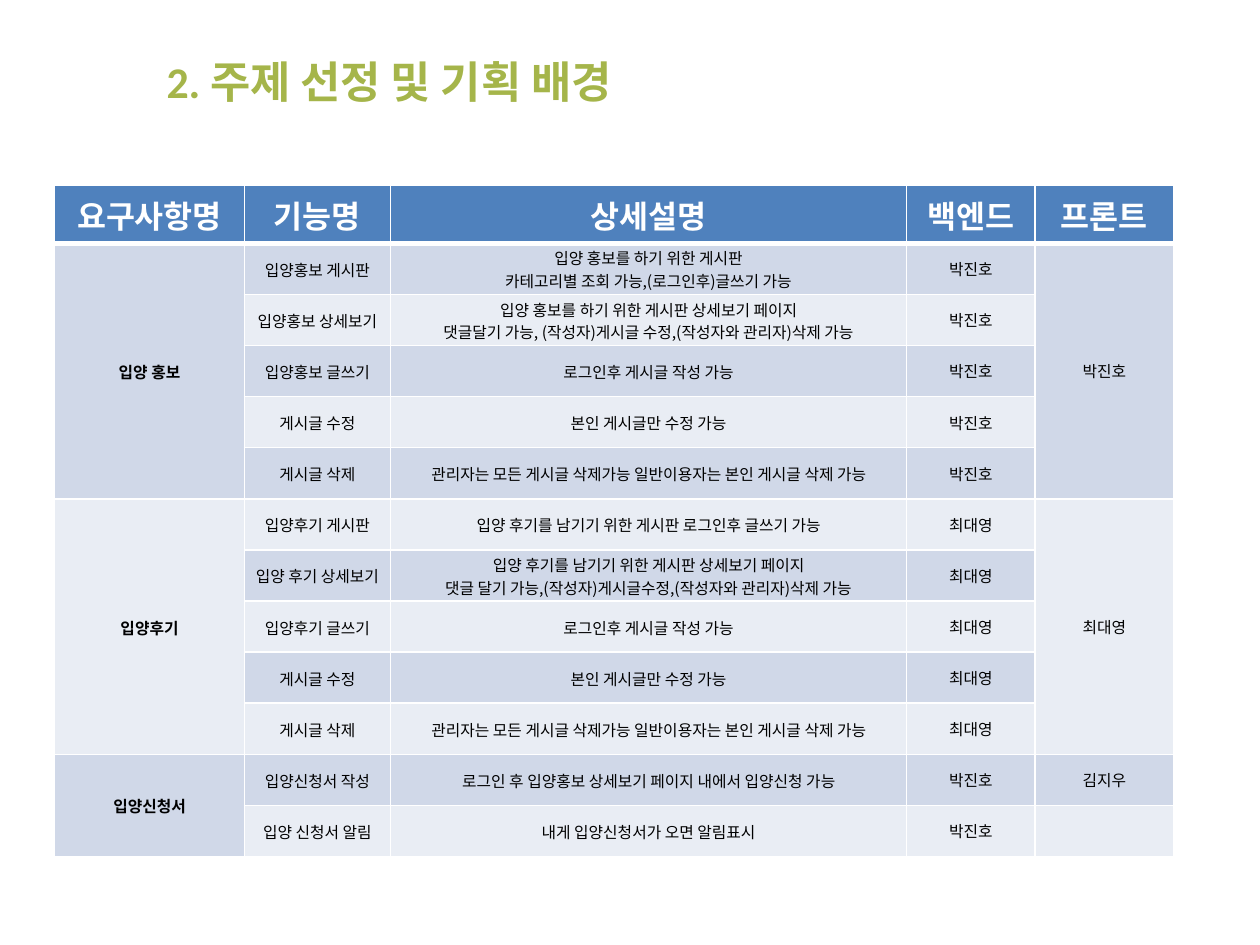
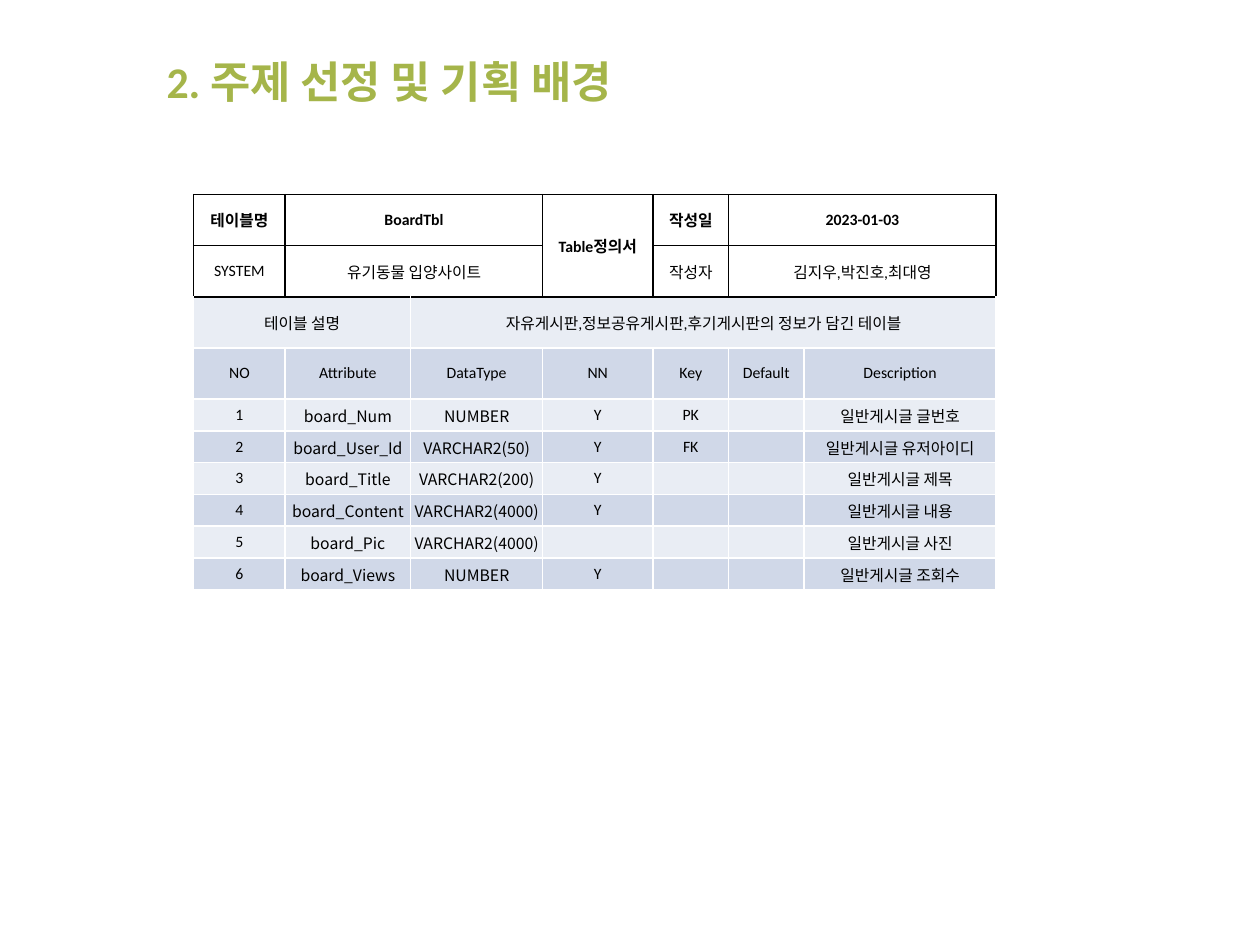
import copy

import pptx
import pptx.util
import pptx.dml.color
import pptx.enum.text
import pptx.oxml
import pptx.oxml.ns

Pt = pptx.util.Pt

COLOURS = {
    "title": "A5B54A",
    "header": "4F81BD",
    "band_dark": "D0D8E8",
    "band_light": "E9EDF4",
    "white": "FFFFFF",
    "black": "000000",
}
LATIN_FONT = "Calibri"
KOREAN_FONT = "Noto Sans CJK KR"
TITLE = "2. 주제 선정 및 기획 배경"
TITLE_BOX = (88, 18, 596, 57)
ROW_HEIGHT = 29.2

HEADERS = ["요구사항명", "기능명", "상세설명", "백엔드", "프론트"]
DELETE_RULE = "관리자는 모든 게시글 삭제가능 일반이용자는 본인 게시글 삭제 가능"
COMMON_FEATURES = [
    ("게시글 수정", "본인 게시글만 수정 가능"),
    ("게시글 삭제", DELETE_RULE),
]
WRITE_RULE = "로그인후 게시글 작성 가능"
# Each group: requirement, backend developer, front developers, features
REQUIREMENTS = [
    ("입양 홍보", "박진호", ["박진호"], [
        ("입양홍보 게시판",
         "입양 홍보를 하기 위한 게시판\n카테고리별 조회 가능,(로그인후)글쓰기 가능"),
        ("입양홍보 상세보기",
         "입양 홍보를 하기 위한 게시판 상세보기 페이지\n"
         "댓글달기 가능, (작성자)게시글 수정,(작성자와 관리자)삭제 가능"),
        ("입양홍보 글쓰기", WRITE_RULE),
        *COMMON_FEATURES]),
    ("입양후기", "최대영", ["최대영"], [
        ("입양후기 게시판", "입양 후기를 남기기 위한 게시판 로그인후 글쓰기 가능"),
        ("입양 후기 상세보기",
         "입양 후기를 남기기 위한 게시판 상세보기 페이지\n"
         "댓글 달기 가능,(작성자)게시글수정,(작성자와 관리자)삭제 가능"),
        ("입양후기 글쓰기", WRITE_RULE),
        *COMMON_FEATURES]),
    ("입양신청서", "박진호", ["김지우", ""], [
        ("입양신청서 작성", "로그인 후 입양홍보 상세보기 페이지 내에서 입양신청 가능"),
        ("입양 신청서 알림", "내게 입양신청서가 오면 알림표시")]),
]

# Empty strings next to a label are covered by its merged cell
DEFINITION_HEAD = [
    ["테이블명", "BoardTbl", "", "Table정의서", "작성일", "2023-01-03", ""],
    ["SYSTEM", "유기동물 입양사이트", "", "", "작성자", "김지우,박진호,최대영", ""],
    ["테이블 설명", "", "자유게시판,정보공유게시판,후기게시판의 정보가 담긴 테이블", "", "", "", ""],
    ["NO", "Attribute", "DataType", "NN", "Key", "Default", "Description"],
]
DEFINITION_MERGES = [
    (0, 1, 0, 2), (0, 3, 1, 3), (0, 5, 0, 6),
    (1, 1, 1, 2), (1, 5, 1, 6), (2, 0, 2, 1), (2, 2, 2, 6),
]
ATTRIBUTES = [
    ("board_Num", "NUMBER", "Y", "PK", "일반게시글 글번호"),
    ("board_User_Id", "VARCHAR2(50)", "Y", "FK", "일반게시글 유저아이디"),
    ("board_Title", "VARCHAR2(200)", "Y", "", "일반게시글 제목"),
    ("board_Content", "VARCHAR2(4000)", "Y", "", "일반게시글 내용"),
    ("board_Pic", "VARCHAR2(4000)", "", "", "일반게시글 사진"),
    ("board_Views", "NUMBER", "Y", "", "일반게시글 조회수"),
]


def rgb(name):
    return pptx.dml.color.RGBColor.from_string(COLOURS[name])


def write_text(text_frame, text, size=9, font=LATIN_FONT, colour="black",
               bold=False, align="CENTER"):
    """Write one paragraph; a newline becomes a line break of the same format."""
    paragraph = text_frame.paragraphs[0]
    paragraph.text = text
    paragraph.alignment = getattr(pptx.enum.text.PP_ALIGN, align)
    for run in paragraph.runs:
        run.font.size = Pt(size)
        run.font.name = font
        run.font.bold = bold
        run.font.color.rgb = rgb(colour)
    for line_break in paragraph._p.findall(pptx.oxml.ns.qn("a:br")):
        line_break.insert(0, copy.deepcopy(paragraph.runs[0]._r.rPr))
    if not text:
        # Keeps an empty cell from taking the default 18 pt line
        paragraph._p.append(pptx.oxml.parse_xml(
            f'<a:endParaRPr {pptx.oxml.ns.nsdecls("a")} sz="{size * 100}"/>'))


def set_borders(cell, colour="white", top=None, bottom_width=1):
    properties = cell._tc.get_or_add_tcPr()
    sides = [("L", colour, 1), ("R", colour, 1),
             ("T", top or colour, 1), ("B", colour, bottom_width)]
    for position, (side, name, width) in enumerate(sides):
        properties.insert(position, pptx.oxml.parse_xml(
            f'<a:ln{side} {pptx.oxml.ns.nsdecls("a")} w="{Pt(width)}">'
            f'<a:solidFill><a:srgbClr val="{COLOURS[name]}"/></a:solidFill>'
            f'</a:ln{side}>'))


def fill_cell(cell, text, fill=None, tight=False, borders=None, **text_format):
    """Tight cells use the Korean font and almost no margins."""
    if tight:
        cell.margin_left = cell.margin_right = cell.margin_top = Pt(0.72)
        cell.margin_bottom = Pt(0)
        text_format["font"] = KOREAN_FONT
    cell.vertical_anchor = pptx.enum.text.MSO_ANCHOR.MIDDLE
    write_text(cell.text_frame, text, **text_format)
    if fill:
        cell.fill.solid()
        cell.fill.fore_color.rgb = rgb(fill)
    else:
        cell.fill.background()
    set_borders(cell, **(borders or {}))


def band(row):
    return "band_dark" if row % 2 else "band_light"


def add_grid(slide, left, top, widths, heights):
    shape = slide.shapes.add_table(len(heights), len(widths), Pt(left), Pt(top),
                                   Pt(sum(widths)), Pt(sum(heights)))
    table = shape.table
    table.first_row = table.horz_banding = False
    for column, width in zip(table.columns, widths):
        column.width = Pt(width)
    for row, height in zip(table.rows, heights):
        row.height = Pt(height)
    return table


def add_titled_slide(presentation):
    slide = presentation.slides.add_slide(presentation.slide_layouts[5])
    title = slide.shapes.title
    title.left, title.top, title.width, title.height = map(Pt, TITLE_BOX)
    title.text_frame.vertical_anchor = pptx.enum.text.MSO_ANCHOR.MIDDLE
    write_text(title.text_frame, TITLE, size=25, colour="title", bold=True, align="LEFT")
    return slide


def add_requirements_table(slide, left, top):
    feature_count = sum(len(features) for *_, features in REQUIREMENTS)
    table = add_grid(slide, left, top, [108.4, 83.4, 295, 73.6, 79],
                     [33] + [ROW_HEIGHT] * feature_count)
    # Header row
    for column, header in enumerate(HEADERS):
        fill_cell(table.cell(0, column), header, "header", size=18, colour="white",
                  bold=True, borders={"bottom_width": 3})
    # Feature rows, grouped by requirement
    first = 1
    for requirement, backend, fronts, features in REQUIREMENTS:
        last = first + len(features) - 1
        for offset, (feature, detail) in enumerate(features):
            row = first + offset
            front = fronts[offset] if offset < len(fronts) else ""
            values = [requirement if offset == 0 else "", feature, detail, backend, front]
            for column, value in enumerate(values):
                fill_cell(table.cell(row, column), value, band(row),
                          tight=column < 3, bold=column == 0)
        table.cell(first, 0).merge(table.cell(last, 0))
        if len(fronts) == 1:
            table.cell(first, 4).merge(table.cell(last, 4))
        first = last + 1


def add_definition_table(slide, left, top):
    table = add_grid(slide, left, top, [52.4, 71.6, 75.6, 62.9, 43.4, 42.9, 110],
                     [ROW_HEIGHT] * len(DEFINITION_HEAD) + [18] * len(ATTRIBUTES))
    # Document details and column names
    for row, values in enumerate(DEFINITION_HEAD):
        outlined = row < 2
        borders = {"colour": "black" if outlined else "white",
                   "top": "black" if row == 2 else None}
        for column, value in enumerate(values):
            fill_cell(table.cell(row, column), value, None if outlined else band(row),
                      bold=row == 0, borders=borders)
    for top_row, left_column, bottom_row, right_column in DEFINITION_MERGES:
        table.cell(top_row, left_column).merge(table.cell(bottom_row, right_column))
    # Attributes
    for number, (name, data_type, not_null, key, description) in enumerate(ATTRIBUTES, 1):
        row = len(DEFINITION_HEAD) + number - 1
        values = [str(number), name, data_type, not_null, key, "", description]
        for column, value in enumerate(values):
            fill_cell(table.cell(row, column), value, band(row), tight=column in (1, 2, 6))


def main():
    presentation = pptx.Presentation()
    presentation.slide_width, presentation.slide_height = Pt(720), Pt(540)
    add_requirements_table(add_titled_slide(presentation), 31.2, 105.8)
    add_definition_table(add_titled_slide(presentation), 110.6, 111.2)
    presentation.save("out.pptx")


if __name__ == "__main__":
    main()
